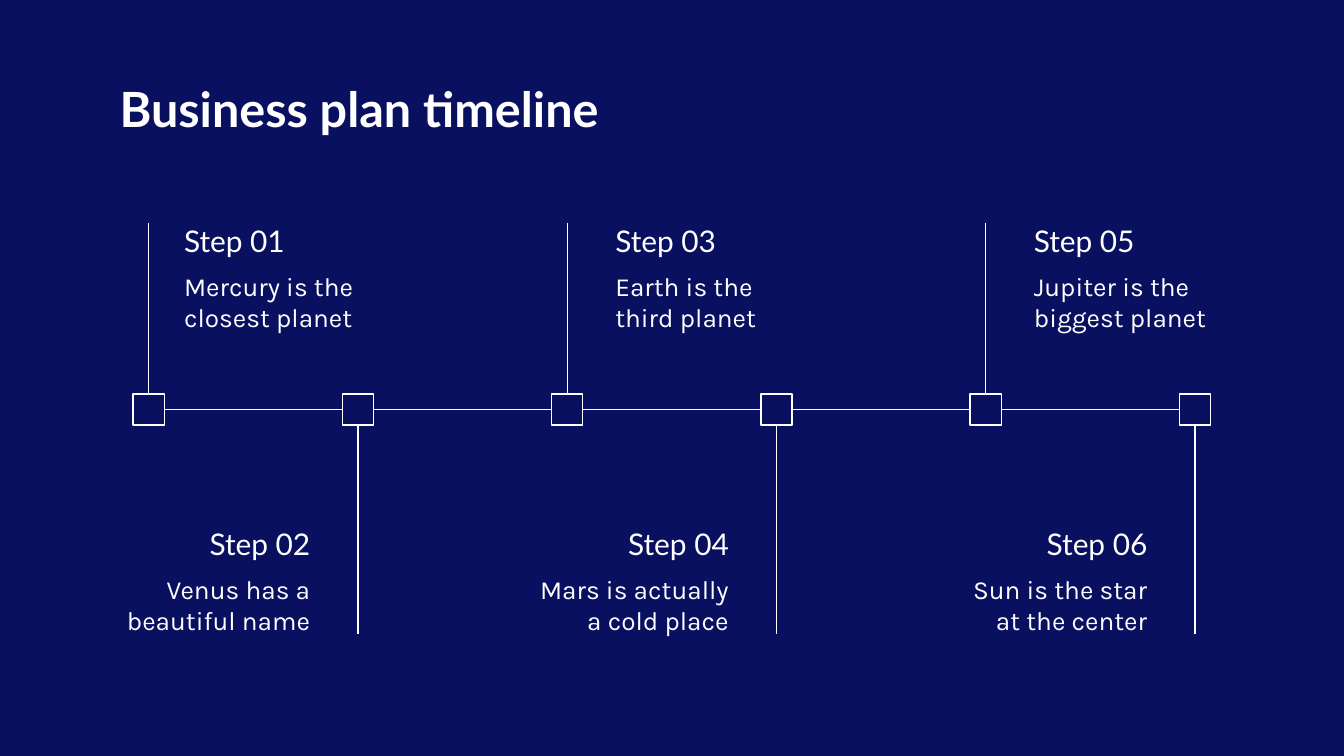
from pptx import Presentation
from pptx.dml.color import RGBColor
from pptx.enum.shapes import MSO_CONNECTOR as Link, MSO_SHAPE as Kind
from pptx.enum.text import MSO_ANCHOR as Anchor, PP_ALIGN as Align
from pptx.oxml.ns import qn
from pptx.util import Cm, Pt
from lxml.etree import SubElement

NAVY = RGBColor(0x09, 0x10, 0x60)
WHITE = RGBColor(0xFF, 0xFF, 0xFF)

STEPS = [
    "Mercury is the closest planet",
    "Venus has a beautiful name",
    "Earth is the third planet",
    "Mars is actually a cold place",
    "Jupiter is the biggest planet",
    "Sun is the star at the center",
]

# Timeline grid in cm
FIRST, PITCH = 2.81, 3.955
BOX, MID = 0.59, 7.74
HALF = BOX / 2
HIGH, LOW = 4.22, 11.99
HEAD_W, HEAD_H, BODY_W = 2.82, 0.64, 4.11

deck = Presentation()
deck.slide_width, deck.slide_height = Cm(25.4), Cm(14.29)
slide = deck.slides.add_slide(deck.slide_layouts[6])
slide.background.fill.solid()
slide.background.fill.fore_color.rgb = NAVY
shapes = slide.shapes


def add_line(x1, y1, x2, y2):
    line = shapes.add_connector(Link.STRAIGHT, Cm(x1), Cm(y1), Cm(x2), Cm(y2))
    line.line.color.rgb = WHITE
    line.line.width = Pt(0.75)
    SubElement(line._element.spPr, qn("a:effectLst"))


def add_text(text, x, y, w, h, font, size, align=Align.LEFT, anchor=Anchor.TOP, bold=False):
    frame = shapes.add_textbox(Cm(x), Cm(y), Cm(w), Cm(h)).text_frame
    frame.word_wrap = True
    frame.vertical_anchor = anchor
    frame.margin_left = frame.margin_right = Cm(0.25)
    frame.margin_top = frame.margin_bottom = Cm(0.25)
    para = frame.paragraphs[0]
    para.text = text
    para.alignment = align
    para.font.name = font
    para.font.size = Pt(size)
    para.font.bold = bold
    para.font.color.rgb = WHITE


# Title
add_text("Business plan timeline", 2.01, 1.24, 21.41, 1.6, "Lato", 26, bold=True)

for i, body in enumerate(STEPS):
    x = FIRST + i * PITCH

    # Marker and link to the next one
    box = shapes.add_shape(Kind.RECTANGLE, Cm(x - HALF), Cm(MID - HALF), Cm(BOX), Cm(BOX))
    box.shadow.inherit = False
    box.fill.background()
    box.line.color.rgb = WHITE
    box.line.width = Pt(0.75)
    if i < len(STEPS) - 1:
        add_line(x + HALF, MID, x + PITCH - HALF, MID)

    # Odd steps stand above the line, even steps hang below it
    if i % 2 == 0:
        add_line(x, MID - HALF, x, HIGH)
        left = x + (0.42 if i == 0 else 0.66)
        head_x, body_x, top, align = left, left, HIGH, Align.LEFT
    else:
        add_line(x, MID + HALF, x, LOW)
        right = x - 0.65
        head_x, body_x, top, align = right - HEAD_W, right - BODY_W, 9.95, Align.RIGHT

    # Step name and note
    add_text(f"Step {i + 1:02}", head_x, top, HEAD_W, HEAD_H, "Lato", 16, align, Anchor.MIDDLE)
    add_text(body, body_x, top + HEAD_H, BODY_W, 1.65, "Karla", 14, align)

deck.save("out.pptx")
